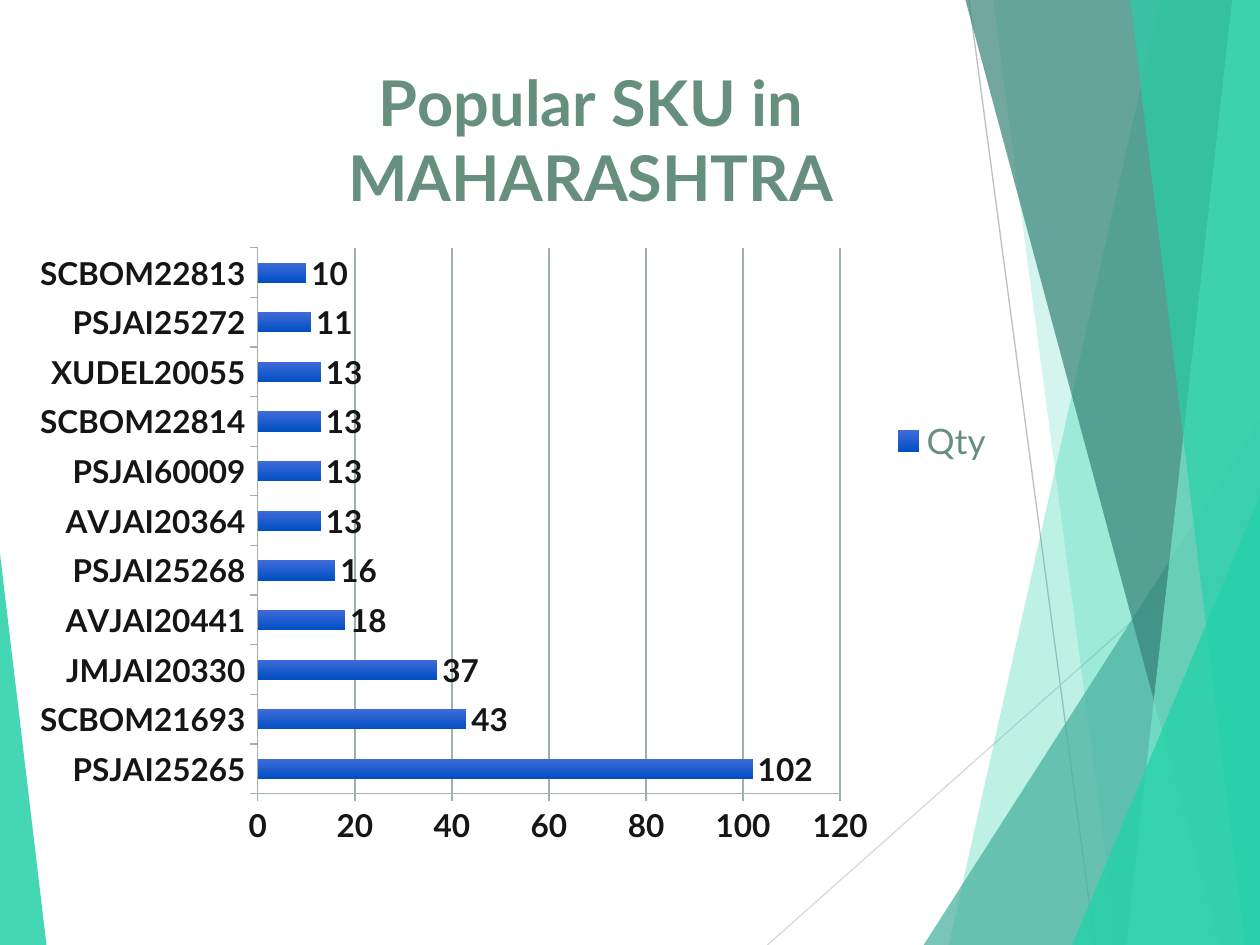
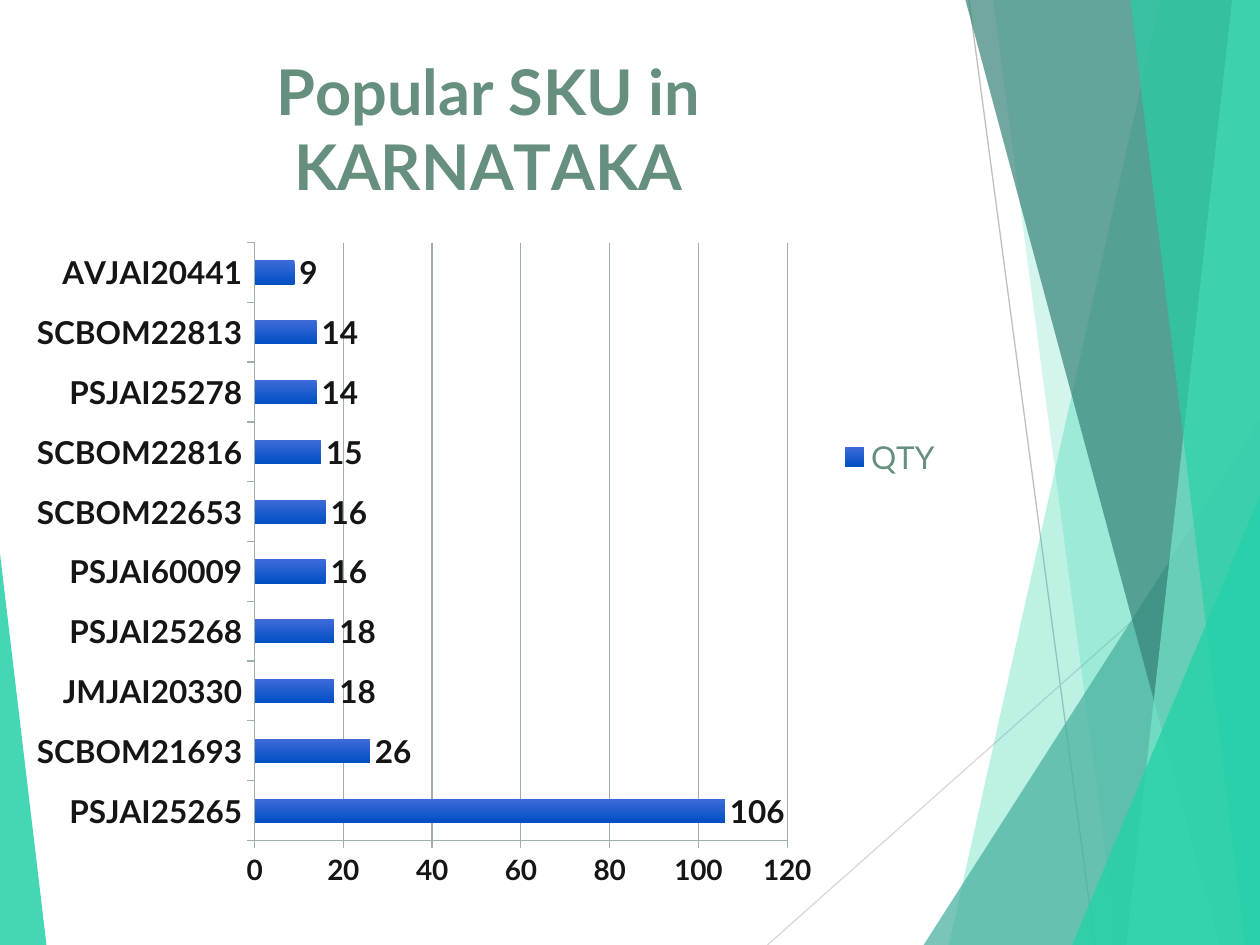
from lxml.etree import SubElement
from pptx import Presentation
from pptx.chart.data import CategoryChartData
from pptx.dml.color import RGBColor
from pptx.enum.chart import XL_CHART_TYPE, XL_LABEL_POSITION, XL_LEGEND_POSITION, XL_TICK_MARK
from pptx.enum.shapes import MSO_CONNECTOR, MSO_SHAPE
from pptx.oxml.ns import qn
from pptx.util import Pt

WIDTH, HEIGHT = 720, 540
FONT = "Lato"
COLORS = {
    "title": "678F7D",
    "label": "151515",
    "grid": "9FB1A9",
    "bar_top": "3F6BD9",
    "bar_bottom": "004FC3",
    "steep_line": "BFBFBF",
    "shallow_line": "D9D9D9",
    "mint": "25D1A8",
    "pale": "78E7CD",
    "teal": "47AF9E",
    "deep": "358377",
}

MAHARASHTRA = {
    "PSJAI25265": 102, "SCBOM21693": 43, "JMJAI20330": 37, "AVJAI20441": 18,
    "PSJAI25268": 16, "AVJAI20364": 13, "PSJAI60009": 13, "SCBOM22814": 13,
    "XUDEL20055": 13, "PSJAI25272": 11, "SCBOM22813": 10,
}
KARNATAKA = {
    "PSJAI25265": 106, "SCBOM21693": 26, "JMJAI20330": 18, "PSJAI25268": 18,
    "PSJAI60009": 16, "SCBOM22653": 16, "SCBOM22816": 15, "PSJAI25278": 14,
    "SCBOM22813": 14, "AVJAI20441": 9,
}


def color(name):
    return RGBColor.from_string(COLORS[name])


def style_font(font, size, name, bold=True):
    font.name = FONT
    font.size = Pt(size)
    font.bold = bold
    font.color.rgb = color(name)


def fill_glass(shape, name, opacity):
    shape.shadow.inherit = False
    shape.fill.solid()
    shape.fill.fore_color.rgb = color(name)
    shape.line.fill.background()
    tint = shape.element.spPr.find(qn("a:solidFill"))[0]
    SubElement(tint, qn("a:alpha")).set("val", str(opacity * 1000))


def add_line(page, start, end, name):
    line = page.shapes.add_connector(MSO_CONNECTOR.STRAIGHT, *map(Pt, start + end))
    line.line.color.rgb = color(name)
    line.line.width = Pt(0.75)
    SubElement(line.element.spPr, qn("a:effectLst"))


def add_facet(page, top_x, bottom_x, name, opacity):
    top = -0.72
    outline = page.shapes.build_freeform(Pt(top_x), Pt(top))
    corners = [(WIDTH, top), (WIDTH, HEIGHT), (bottom_x, HEIGHT)]
    outline.add_line_segments([(Pt(x), Pt(y)) for x, y in corners])
    fill_glass(outline.convert_to_shape(), name, opacity)


def add_corner(page, left, top, width, apex, name, opacity):
    box = [Pt(v) for v in (left, top, width, HEIGHT - top)]
    corner = page.shapes.add_shape(MSO_SHAPE.ISOSCELES_TRIANGLE, *box)
    corner.adjustments[0] = apex
    fill_glass(corner, name, opacity)


def add_backdrop(page):
    add_line(page, (553.7, 0), (625.7, HEIGHT), "steep_line")
    add_line(page, (WIDTH, 290.2), (438.5, HEIGHT), "shallow_line")
    add_facet(page, 663.1, 542.2, "mint", 30)
    add_facet(page, 567.4, 638.6, "mint", 20)
    add_corner(page, 527.8, 239.8, 192.2, 1, "teal", 72)
    add_facet(page, 551.5, 697, "deep", 70)
    add_facet(page, 704.2, 643.7, "pale", 70)
    add_facet(page, 645.8, 711.4, "mint", 65)
    add_corner(page, 612.7, 283, 107.3, 1, "mint", 80)
    add_corner(page, 0, 316.1, 26.6, 0, "mint", 85)


def place(element, index, **fractions):
    for old in element.findall(qn("c:layout")):
        element.remove(old)
    layout = element.makeelement(qn("c:layout"))
    element.insert(index, layout)
    manual = SubElement(layout, qn("c:manualLayout"))
    if "w" in fractions:
        SubElement(manual, qn("c:layoutTarget")).set("val", "inner")
    for mode in ("xMode", "yMode"):
        SubElement(manual, qn(f"c:{mode}")).set("val", "edge")
    for key, value in fractions.items():
        SubElement(manual, qn(f"c:{key}")).set("val", str(value))


def style_axis(axis, size):
    style_font(axis.tick_labels.font, size, "label")
    axis.major_tick_mark = XL_TICK_MARK.OUTSIDE
    axis.minor_tick_mark = XL_TICK_MARK.NONE
    style_grid_line(axis.format.line)


def style_grid_line(line):
    line.color.rgb = color("grid")
    line.width = Pt(0.75)


def style_bars(plot):
    plot.gap_width = 150
    plot.vary_by_categories = False
    fill = plot.series[0].format.fill
    fill.gradient()
    fill.gradient_angle = 270
    for stop, name in zip(fill.gradient_stops, ("bar_top", "bar_bottom")):
        stop.color.rgb = color(name)
    plot.has_data_labels = True
    labels = plot.data_labels
    labels.show_value = True
    labels.position = XL_LABEL_POSITION.OUTSIDE_END
    style_font(labels.font, 18, "label")


def add_sku_chart(page, state, series_name, quantities, box, plot_box, value_size, legend_size):
    data = CategoryChartData()
    data.categories = list(quantities)
    data.add_series(series_name, list(quantities.values()))
    frame = page.shapes.add_chart(XL_CHART_TYPE.BAR_CLUSTERED, *map(Pt, box), data)
    chart = frame.chart
    style_font(chart.font, 18, "title", bold=False)

    chart.has_title = True
    para = chart.chart_title.text_frame.paragraphs[0]
    para.text = f"Popular SKU in {state}"
    style_font(para.font, 36, "title")

    chart.has_legend = True
    chart.legend.position = XL_LEGEND_POSITION.RIGHT
    chart.legend.include_in_layout = False
    style_font(chart.legend.font, legend_size, "title", bold=False)

    style_axis(chart.category_axis, 18)
    values = chart.value_axis
    style_axis(values, value_size)
    values.minimum_scale, values.maximum_scale, values.major_unit = 0, 120, 20
    values.has_major_gridlines = True
    style_grid_line(values.major_gridlines.format.line)

    style_bars(chart.plots[0])
    place(chart.element.find(f".//{qn('c:plotArea')}"), 0, **dict(zip("xywh", plot_box)))
    return chart


def add_page(deck):
    page = deck.slides.add_slide(deck.slide_layouts[6])
    add_backdrop(page)
    return page


def main():
    deck = Presentation()
    deck.slide_width, deck.slide_height = Pt(WIDTH), Pt(HEIGHT)

    chart = add_sku_chart(add_page(deck), "MAHARASHTRA", "Qty", MAHARASHTRA,
                          (12, 12, 564, 480), (0.24, 0.27, 0.59, 0.65), 18, 20)
    place(chart.chart_title.element, 1, x=0.32, y=0.03)

    add_sku_chart(add_page(deck), "KARNATAKA", "QTY", KARNATAKA,
                  (12, 6, 534, 510), (0.25, 0.26, 0.57, 0.67), 16, 18)

    deck.save("out.pptx")


if __name__ == "__main__":
    main()
